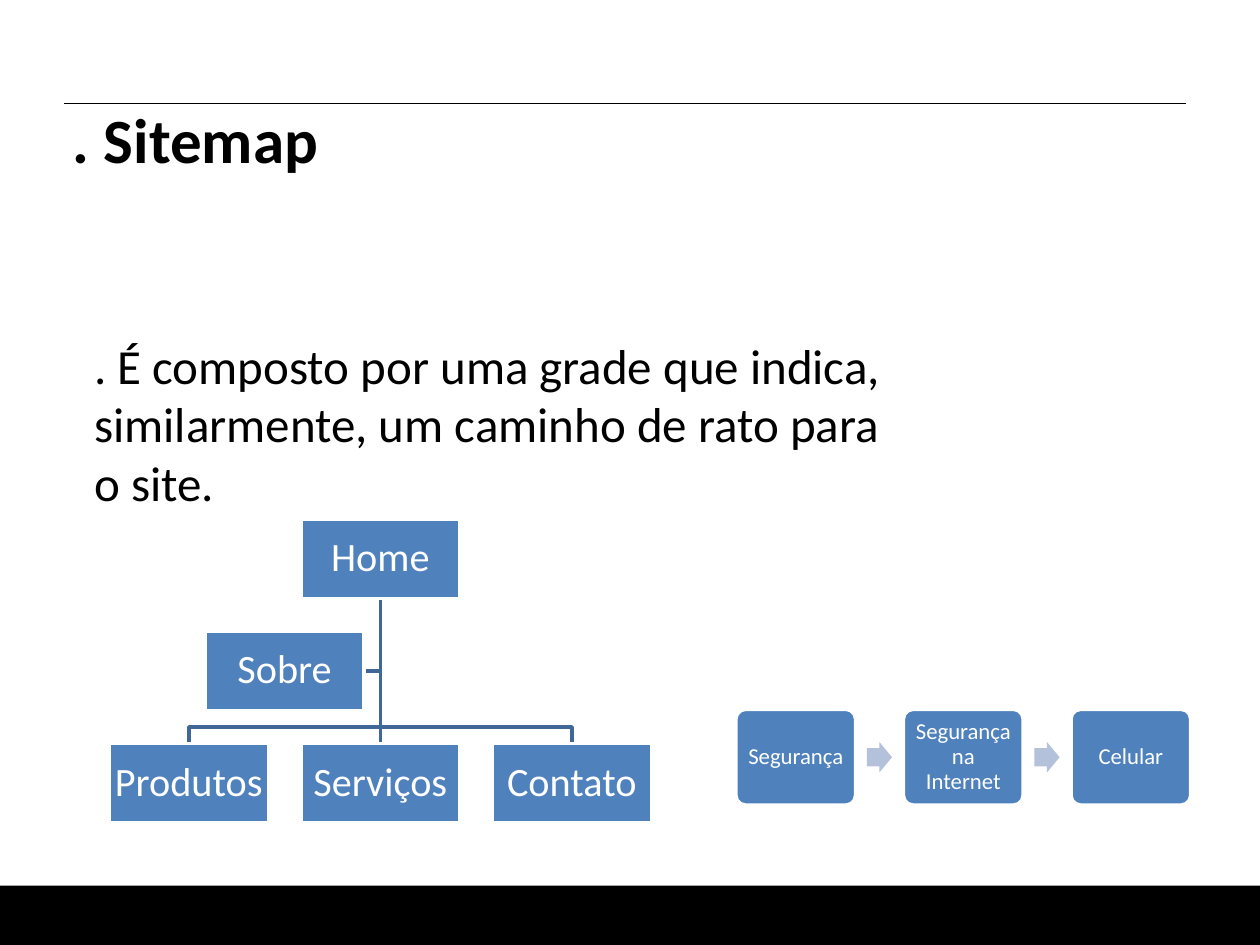
from dataclasses import dataclass

from lxml import etree
from pptx import Presentation
from pptx.dml.color import RGBColor
from pptx.enum.shapes import MSO_CONNECTOR, MSO_SHAPE
from pptx.enum.text import MSO_ANCHOR, MSO_AUTO_SIZE, PP_ALIGN
from pptx.oxml.ns import qn
from pptx.util import Inches, Pt

RECT, ROUNDED, ARROW = MSO_SHAPE.RECTANGLE, MSO_SHAPE.ROUNDED_RECTANGLE, MSO_SHAPE.RIGHT_ARROW
STRAIGHT = MSO_CONNECTOR.STRAIGHT
MIDDLE, TOP = MSO_ANCHOR.MIDDLE, MSO_ANCHOR.TOP
LEFT, CENTER = PP_ALIGN.LEFT, PP_ALIGN.CENTER
GROW = MSO_AUTO_SIZE.SHAPE_TO_FIT_TEXT


@dataclass(frozen=True)
class Theme:
    font: str = "Calibri"
    black: RGBColor = RGBColor(0x00, 0x00, 0x00)
    white: RGBColor = RGBColor(0xFF, 0xFF, 0xFF)
    blue: RGBColor = RGBColor(0x4F, 0x81, 0xBD)
    branch: RGBColor = RGBColor(0x3F, 0x67, 0x97)
    arrow: RGBColor = RGBColor(0xB3, 0xC1, 0xDB)
    title: int = 36
    body: int = 28
    node: int = 23
    step: int = 13


theme = Theme()
prs = Presentation()
prs.slide_width, prs.slide_height = Inches(10), Inches(7.5)
s = prs.slides.add_slide(prs.slide_layouts[6])


def write(sp, text, size, color=theme.black, bold=False, align=LEFT,
          anchor=TOP, inset=None, spacing=None):
    tf = sp.text_frame
    tf.word_wrap = True
    tf.vertical_anchor = anchor
    if inset is not None:
        tf.margin_left = tf.margin_right = Inches(inset)
        tf.margin_top = tf.margin_bottom = Inches(inset)
    p = tf.paragraphs[0]
    p.alignment = align
    p.line_spacing = spacing
    r = p.add_run()
    r.text = text
    r.font.name = theme.font
    r.font.size = Pt(size)
    r.font.bold = bold
    r.font.color.rgb = color


def add_box(kind, x, y, w, h, fill, line=None):
    sp = s.shapes.add_shape(kind, Inches(x), Inches(y), Inches(w), Inches(h))
    sp.shadow.inherit = False
    sp.fill.solid()
    sp.fill.fore_color.rgb = fill
    if line is None:
        sp.line.fill.background()
    else:
        sp.line.color.rgb = line
        sp.line.width = Pt(2)
    return sp


add_box(RECT, 0, 7.03, 10, 0.47, theme.black)
rule = s.shapes.add_connector(STRAIGHT, Inches(0.51), Inches(0.82), Inches(9.41), Inches(0.82))
rule.line.color.rgb = theme.black
rule.line.width = Pt(0.75)
etree.SubElement(rule.element.spPr, qn("a:effectLst"))

for text, x, y, w, h, size, bold in [
    (".\u00a0Sitemap", 0.48, 0.75, 9.53, 0.71, theme.title, True),
    (". É composto por uma grade que indica, similarmente, um caminho de rato para o site.",
     0.65, 2.61, 6.71, 1.51, theme.body, False),
]:
    sp = s.shapes.add_textbox(Inches(x), Inches(y), Inches(w), Inches(h))
    write(sp, text, size, bold=bold)
    sp.text_frame.auto_size = GROW

node_w, node_h = 1.26, 0.63
home_x, home_y = 2.39, 4.12
pitch, child_y, about_y = 1.52, 5.9, 5.01
center_x, home_bottom = home_x + node_w / 2, home_y + node_h
about_x = home_x - pitch / 2
about_mid, bend_y = about_y + node_h / 2, 5.77

branches = [[(center_x, about_mid), (about_x + node_w, about_mid)]]
for end_x in (center_x + pitch, center_x - pitch):
    branches.append([(center_x, bend_y), (end_x, bend_y), (end_x, child_y)])
for points in branches:
    fb = s.shapes.build_freeform(Inches(center_x), Inches(home_bottom))
    fb.add_line_segments([(Inches(x), Inches(y)) for x, y in points], close=False)
    sp = fb.convert_to_shape()
    sp.shadow.inherit = False
    sp.fill.background()
    sp.line.color.rgb = theme.branch
    sp.line.width = Pt(2)

trunk = s.shapes.add_connector(STRAIGHT, Inches(center_x), Inches(home_bottom),
                               Inches(center_x), Inches(child_y))
trunk.line.color.rgb = theme.branch
trunk.line.width = Pt(2)
etree.SubElement(trunk.element.spPr, qn("a:effectLst"))

nodes = {}
for text, x, y in [
    ("Home", home_x, home_y),
    ("Produtos", home_x - pitch, child_y),
    ("Serviços", home_x, child_y),
    ("Contato", home_x + pitch, child_y),
    ("Sobre", about_x, about_y),
]:
    nodes[text] = add_box(RECT, x, y, node_w, node_h, theme.blue, theme.white)
    write(nodes[text], text, theme.node, color=theme.white, align=CENTER,
          anchor=MIDDLE, inset=0.02, spacing=0.9)
trunk.begin_connect(nodes["Home"], 0)
trunk.begin_connect(nodes["Home"], 2)
trunk.end_connect(nodes["Serviços"], 0)

step_x, step_pitch = 5.84, 1.33
steps = ["Segurança", "Segurança na Internet", "Celular"]
for i, text in enumerate(steps):
    x = step_x + i * step_pitch
    sp = add_box(ROUNDED, x, 5.63, 0.95, 0.76, theme.blue, theme.white)
    sp.adjustments[0] = 0.1
    write(sp, text, theme.step, color=theme.white, align=CENTER,
          anchor=MIDDLE, inset=0.05, spacing=0.9)
    if i < len(steps) - 1:
        sp = add_box(ARROW, x + 1.04, 5.89, 0.2, 0.24, theme.arrow)
        sp.adjustments[0] = 0.6
        sp.adjustments[1] = 0.5

prs.save("out.pptx")
